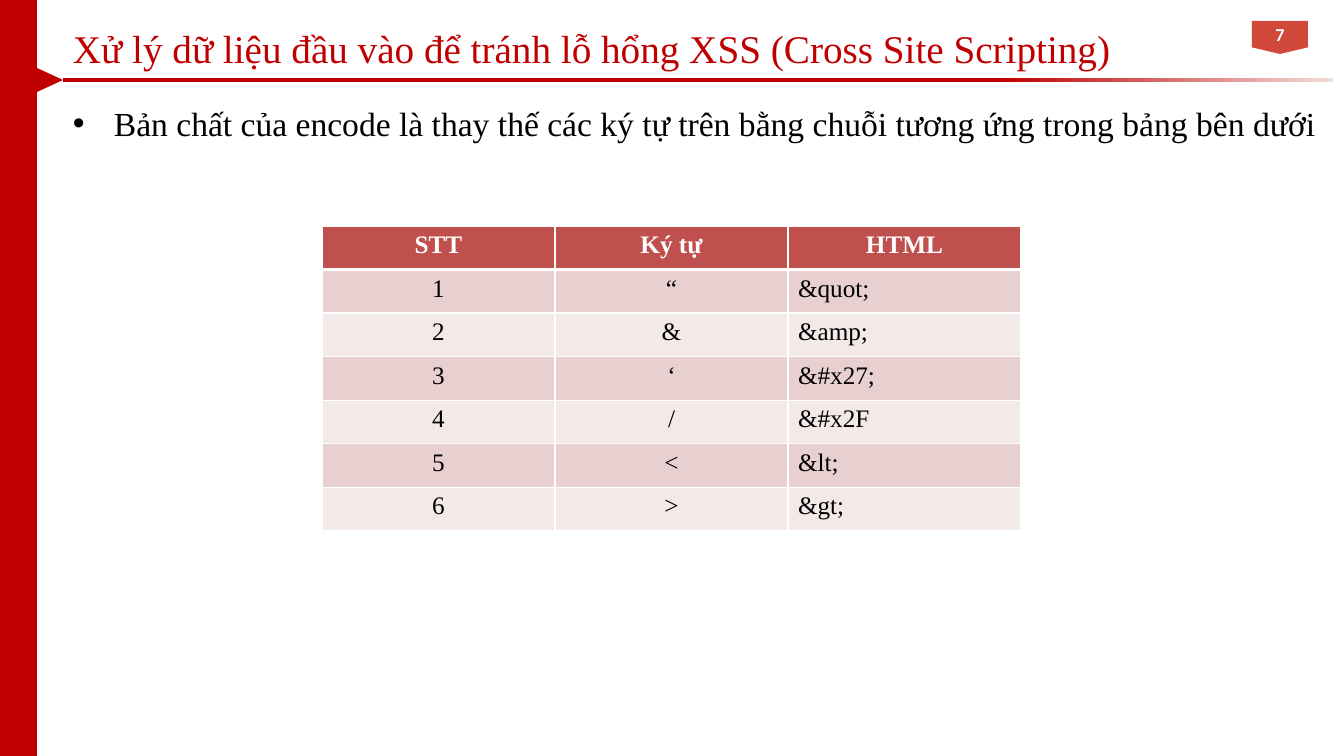
from copy import deepcopy

from lxml import etree
from pptx import Presentation
from pptx.dml.color import RGBColor
from pptx.enum.shapes import MSO_SHAPE
from pptx.enum.text import MSO_ANCHOR, PP_ALIGN
from pptx.oxml.ns import qn
from pptx.util import Pt

PX = 914400 / 100.8
RECT = MSO_SHAPE.RECTANGLE
WEDGE = MSO_SHAPE.ISOSCELES_TRIANGLE
BADGE = MSO_SHAPE.FLOWCHART_OFFPAGE_CONNECTOR
TOP, MIDDLE = MSO_ANCHOR.TOP, MSO_ANCHOR.MIDDLE
LEFT, CENTER = PP_ALIGN.LEFT, PP_ALIGN.CENTER
COLORS = {
    "red": "C00000", "badge": "D1493B", "fade": "F2DCDB",
    "head": "C0504D", "odd": "E8D0D0", "even": "F4E9E9",
    "white": "FFFFFF", "black": "000000",
}
ROWS = [
    ("STT", "Ký tự", "HTML"),
    ("1", "“", "&quot;"),
    ("2", "&", "&amp;"),
    ("3", "‘", "&#x27;"),
    ("4", "/", "&#x2F"),
    ("5", "<", "&lt;"),
    ("6", ">", "&gt;"),
]


def px(n):
    return round(n * PX)


def rgb(name):
    return RGBColor.from_string(COLORS[name])


class Page:
    def __init__(self, slide, font="Times New Roman"):
        self.slide, self.font = slide, font

    def label(self, frame, text, size, color, align=LEFT, bold=False, font=None):
        para = frame.paragraphs[0]
        para.alignment = align
        run = para.add_run()
        run.text = text
        run.font.name = font or self.font
        run.font.size = Pt(size)
        run.font.bold = bold
        run.font.color.rgb = rgb(color)

    def shape(self, kind, box, color, turn=0):
        item = self.slide.shapes.add_shape(kind, *map(px, box))
        item.shadow.inherit = False
        item.fill.solid()
        item.fill.fore_color.rgb = rgb(color)
        item.line.fill.background()
        item.rotation = turn
        return item

    def fade(self, box, start, end, hold):
        """Bar that keeps its start colour up to hold, then fades to end."""
        bar = self.shape(RECT, box, start)
        fill = bar.fill
        fill.gradient()
        fill.gradient_angle = 0
        for stop, color, place in zip(fill.gradient_stops, (start, end), (0, 1)):
            stop.color.rgb = rgb(color)
            stop.position = place
        first = next(bar._element.iter(qn("a:gs")))
        middle = deepcopy(first)
        middle.set("pos", str(round(hold * 100000)))
        first.addnext(middle)

    def text(self, box, text, size, color, anchor=TOP, bullet=0):
        frame = self.slide.shapes.add_textbox(*map(px, box)).text_frame
        frame.word_wrap = True
        frame.vertical_anchor = anchor
        if bullet:
            props = frame.paragraphs[0]._p.get_or_add_pPr()
            props.set("marL", str(px(bullet)))
            props.set("indent", str(-px(bullet)))
            etree.SubElement(props, qn("a:buFont"), typeface="Arial")
            etree.SubElement(props, qn("a:buChar"), char="•")
        self.label(frame, text, size, color)

    def border(self, cell, widths):
        props = cell._tc.get_or_add_tcPr()
        for spot, (side, width) in enumerate(widths.items()):
            line = etree.Element(qn(f"a:ln{side}"), w=str(Pt(width)))
            fill = etree.SubElement(line, qn("a:solidFill"))
            etree.SubElement(fill, qn("a:srgbClr"), val=COLORS["white"])
            props.insert(spot, line)

    def table(self, box, rows, size):
        grid = self.slide.shapes.add_table(
            len(rows), len(rows[0]), *map(px, box)).table
        for r, row in enumerate(rows):
            head = r == 0
            shade = "head" if head else ("even", "odd")[r % 2]
            for c, text in enumerate(row):
                cell = grid.cell(r, c)
                cell.fill.solid()
                cell.fill.fore_color.rgb = rgb(shade)
                align = CENTER if head or c < 2 else LEFT
                self.label(cell.text_frame, text, size,
                           "white" if head else "black", align, head)
                self.border(cell, {"L": 1, "R": 1, "T": 3 if r == 1 else 1,
                                   "B": 3 if head else 1})


def main():
    deck = Presentation()
    deck.slide_width, deck.slide_height = px(1344), px(756)
    page = Page(deck.slides.add_slide(deck.slide_layouts[6]))

    # Page number and red frame
    badge = page.shape(BADGE, (1252, 21, 56, 33), "badge")
    badge.text_frame.vertical_anchor = MIDDLE
    page.label(badge.text_frame, "7", 13, "white", CENTER, True, "Calibri")
    page.shape(RECT, (0, 0, 37, 756), "red")
    page.shape(WEDGE, (38, 67, 24, 26), "red", 90)
    page.fade((63, 78, 1270, 4), "red", "fade", 0.74)

    # Title and statement
    page.text((63, 24, 1172, 47),
              "Xử lý dữ liệu đầu vào để tránh lỗ hổng XSS (Cross Site Scripting)",
              28, "red", MIDDLE)
    page.text((63, 98, 1270, 105),
              "Bản chất của encode là thay thế các ký tự trên bằng chuỗi "
              "tương ứng trong bảng bên dưới", 24, "black", bullet=41)

    # Table of encoded characters
    page.table((322, 226, 699, 305), ROWS, 18)

    deck.save("out.pptx")


if __name__ == "__main__":
    main()
